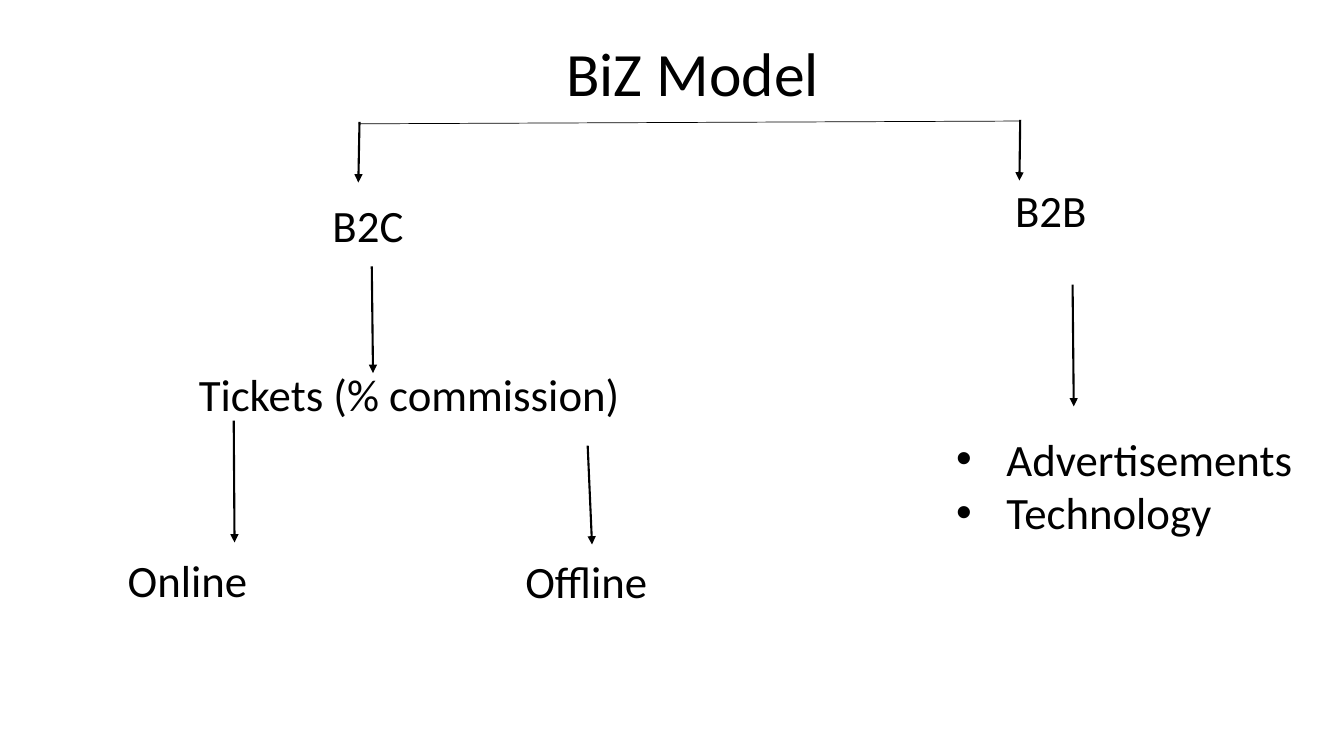
from lxml import etree
from pptx import Presentation
from pptx import util as u
from pptx.dml import color
from pptx.enum import shapes, text
from pptx.oxml import ns

COLORS = {"ink": "000000", "background": "FFFFFF"}
INK = color.RGBColor.from_string(COLORS["ink"])
LABEL_HEIGHT = 1.63
FRAME_FORMAT = {"word_wrap": True, "auto_size": text.MSO_AUTO_SIZE.NONE}
PARAGRAPH_FORMAT = {"alignment": text.PP_ALIGN.LEFT, "space_before": u.Pt(0), "space_after": u.Pt(0)}


def write_text(shape, lines, size, anchor, line_spacing=1.0):
    frame = shape.text_frame
    frame.text = "\n".join(lines)
    for name, value in {**FRAME_FORMAT, "vertical_anchor": anchor}.items():
        setattr(frame, name, value)
    for paragraph in frame.paragraphs:
        for name, value in {**PARAGRAPH_FORMAT, "line_spacing": line_spacing}.items():
            setattr(paragraph, name, value)
        for name, value in {"name": "Calibri", "size": u.Pt(size)}.items():
            setattr(paragraph.font, name, value)
        paragraph.font.color.rgb = INK


def add_element(parent, tag, **attributes):
    return etree.SubElement(parent, ns.qn(tag), attributes)


presentation = Presentation()
presentation.slide_width = u.Cm(33.87)
presentation.slide_height = u.Cm(19.05)
slide = presentation.slides.add_slide(presentation.slide_layouts[1])
slide.background.fill.solid()
slide.background.fill.fore_color.rgb = color.RGBColor.from_string(COLORS["background"])

title = slide.shapes.title
revenue_list = slide.placeholders[1]
placeholder_boxes = [
    (title, (14.02, 0.08, 8.76, 3.68)),
    (revenue_list, (23.84, 10.74, 9.42, 4.37)),
]
for placeholder, box in placeholder_boxes:
    for name, value in zip(("left", "top", "width", "height"), box):
        setattr(placeholder, name, u.Cm(value))

write_text(title, ["BiZ Model"], 44, text.MSO_ANCHOR.MIDDLE, 0.9)
write_text(revenue_list, ["Advertisements", "Technology"], 32, text.MSO_ANCHOR.TOP)
for paragraph in revenue_list.text_frame.paragraphs:
    properties = paragraph._p.get_or_add_pPr()
    properties.set("marL", str(u.Cm(1.27)))
    properties.set("indent", str(-u.Cm(1.27)))
    add_element(properties, "a:buFont", typeface="Arial")
    add_element(properties, "a:buChar", char="•")

labels = [
    ("Tickets (% commission)", 4.76, 9.12, 11.53),
    ("Online", 2.97, 13.8, 11.46),
    ("Offline", 12.99, 13.82, 5.77),
    ("B2C", 8.13, 4.85, 3.2),
    ("B2B", 25.33, 4.47, 7.92),
]
for wording, left, top, width in labels:
    label = slide.shapes.add_textbox(u.Cm(left), u.Cm(top), u.Cm(width), u.Cm(LABEL_HEIGHT))
    write_text(label, [wording], 32, text.MSO_ANCHOR.TOP)

arrows = [
    (27.03, 7.17, 27.06, 10.24),
    (14.81, 11.23, 14.92, 13.72),
    (5.89, 10.6, 5.91, 13.67),
    (9.37, 6.71, 9.4, 9.4),
    (25.71, 3.02, 25.69, 4.55),
    (9.06, 3.07, 9.03, 4.6),
]
branch_bar = (9.04, 3.12, 25.69, 3.05)
for ends in [*arrows, branch_bar]:
    connector = slide.shapes.add_connector(shapes.MSO_CONNECTOR.STRAIGHT, *map(u.Cm, ends))
    connector.line.width = u.Pt(0.5 if ends == branch_bar else 1.5)
    connector.line.color.rgb = INK
    if ends != branch_bar:
        add_element(connector.line._get_or_add_ln(), "a:tailEnd", type="triangle")
    add_element(connector._element.spPr, "a:effectLst")

presentation.save("out.pptx")
